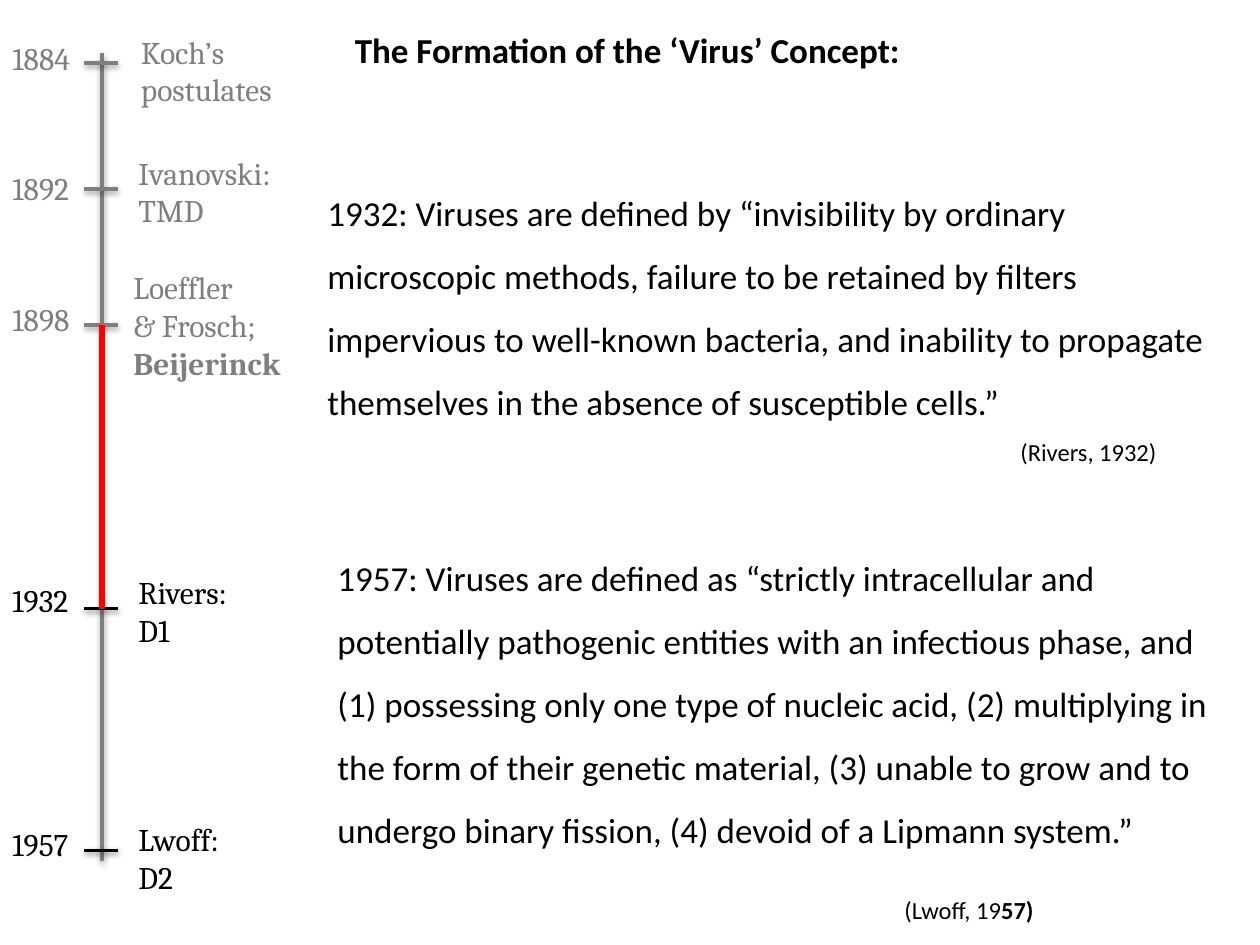
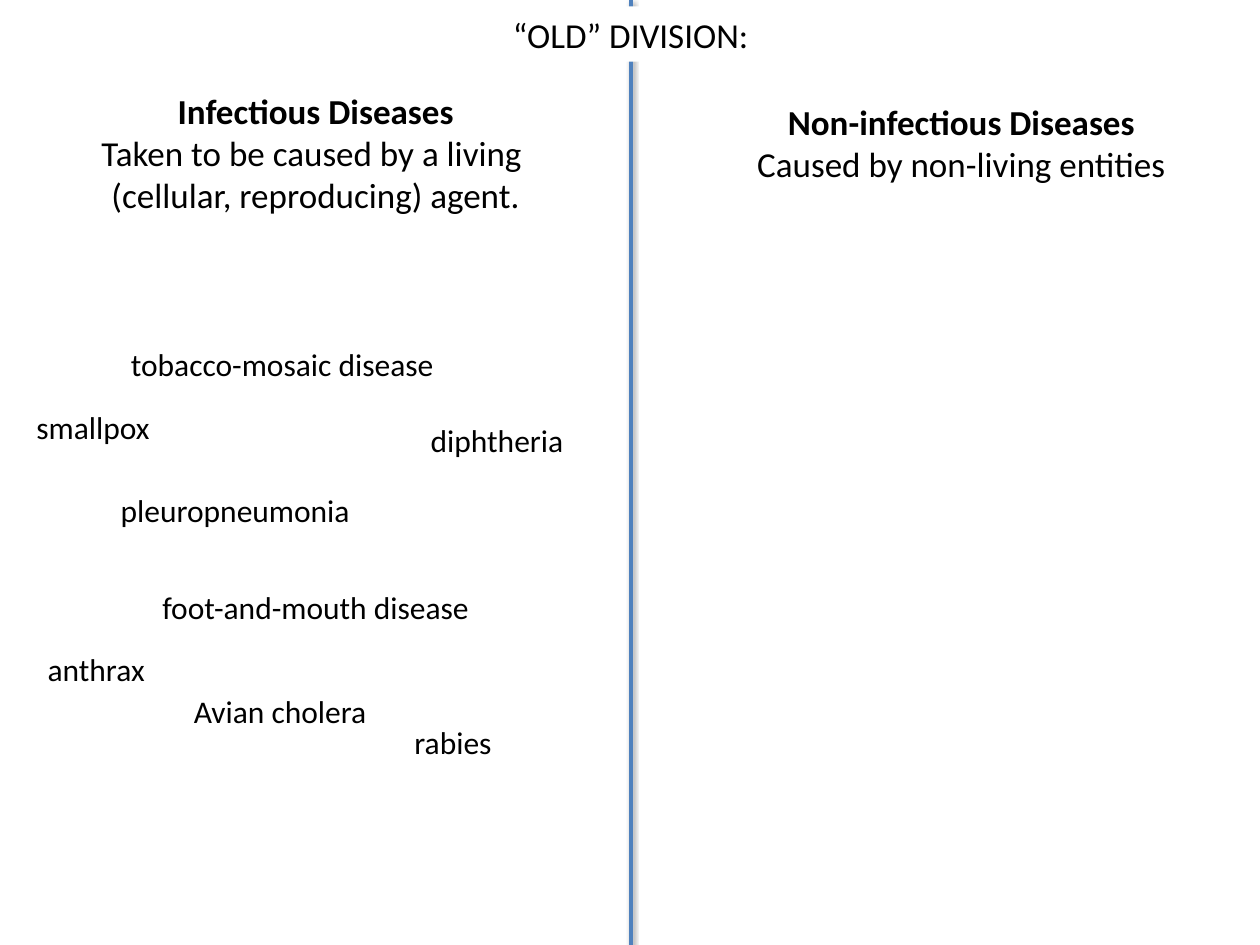
"""Build two slides on the virus concept and the old division of diseases."""
from lxml import etree
from pptx import Presentation
from pptx.dml.color import RGBColor
from pptx.enum import shapes, text
from pptx.oxml.ns import qn
from pptx.util import Inches, Pt

COLORS = {"ink": "000000", "past": "7F7F7F", "axis": "808080", "span": "FF0000",
          "divider": "4F81BD", "paper": "FFFFFF"}
BODY, LABEL = "Calibri", "Cambria"
LEFT, CENTER = text.PP_ALIGN.LEFT, text.PP_ALIGN.CENTER


def write(box, paragraphs, size, font=BODY, color="ink", align=LEFT, wrap=True):
    """Fill a shape with paragraphs, each a list of (words, style letters) runs."""
    frame = box.text_frame
    frame.word_wrap = wrap
    frame.auto_size = text.MSO_AUTO_SIZE.NONE
    for number, runs in enumerate(paragraphs):
        para = frame.add_paragraph() if number else frame.paragraphs[0]
        para.alignment = align
        for words, style in runs:
            for row, line in enumerate(words.split("\n")):
                if row:
                    para.add_line_break()
                span = para.add_run()
                span.text = line
                span.font.name = font
                span.font.size = Pt(size)
                span.font.bold = "b" in style
                span.font.italic = "i" in style
                span.font.color.rgb = RGBColor.from_string(COLORS[color])
    return frame.paragraphs


def draw_line(page, start, end, color, width=2):
    """Draw a straight line between two points in inches."""
    line = page.shapes.add_connector(shapes.MSO_CONNECTOR.STRAIGHT,
                                     *map(Inches, start + end))
    line.line.color.rgb = RGBColor.from_string(COLORS[color])
    line.line.width = Pt(width)
    return line


deck = Presentation()
deck.slide_width, deck.slide_height = Inches(10), Inches(7.5)

pages = []
for heading, style, align, place in (
    ("The Formation of the ‘Virus’ Concept:", "b", CENTER, (2.7, 0.17, 4.56, 0.44)),
    ("“OLD” DIVISION:", "", LEFT, (3.97, 0.05, 2.09, 0.44)),
):
    page = deck.slides.add_slide(deck.slide_layouts[5])
    title = page.shapes.title
    title.left, title.top, title.width, title.height = map(Inches, place)
    write(title, [[(heading, style)]], 20, align=align, wrap=False)
    pages.append(page)
concept, division = pages

quotes = (
    ((2.5, 1.3, 7.33, 2.45), 5.5, 0,
     [("1932: Viruses are defined by “invisibility by ordinary microscopic methods, "
       "failure to be retained by filters impervious to well-known bacteria, and "
       "inability to propagate themselves in the absence of susceptible cells.”", "")],
     [("(Rivers, 1932)", "")]),
    ((2.58, 4.2, 7.25, 3.2), 4.5, 17,
     [("1957: Viruses are defined as “strictly intracellular and potentially "
       "pathogenic entities with an infectious phase", ""), (", ", "i"),
      ("and (1) possessing only one type of nucleic acid, (2) multiplying in the form "
       "of their genetic material, (3) unable to grow and to undergo binary fission, "
       "(4) devoid of a Lipmann system.”", "")],
     [("(Lwoff, 19", ""), ("57)", "b")]),
)
for place, indent, gap, quote, citation in quotes:
    box = concept.shapes.add_textbox(*map(Inches, place))
    paragraphs = write(box, [quote, citation], 20)
    for para in paragraphs:
        para.line_spacing = 1.5
    source = paragraphs[1]
    source.space_before = Pt(gap)
    source._p.get_or_add_pPr().set("marL", str(Inches(indent)))
    for span in source.runs:
        span.font.size = Pt(14)

axis_x = 0.81
draw_line(concept, (axis_x, 0.42), (axis_x, 6.83), "axis")
milestones = (
    ("1884", 0.5, 0.26, (1.02, 0.21, 1.56, 0.71), "past", [[("Koch’s postulates", "")]]),
    ("1892", 1.5, 1.29, (1, 1.17, 1.61, 0.71), "past", [[("Ivanovski: TMD", "")]]),
    ("1898", 2.58, 2.33, (0.96, 2.08, 1.55, 1.01), "past",
     [[("Loeffler", "")], [("& Frosch;", "")], [("Beijerinck", "b")]]),
    ("1932", 4.83, 4.56, (1, 4.5, 0.99, 0.71), "ink", [[("Rivers:", "")], [("D1", "")]]),
    ("1957", 6.75, 6.5, (1, 6.46, 0.92, 0.71), "ink", [[("Lwoff:", "")], [("D2", "")]]),
)
for year, tick, year_top, place, color, label in milestones:
    draw_line(concept, (0.67, tick), (0.94, tick), color)
    for spot, words in (((0, year_top, 0.76, 0.4), [[(year, "")]]), (place, label)):
        box = concept.shapes.add_textbox(*map(Inches, spot))
        write(box, words, 18, LABEL, color)

highlight = draw_line(concept, (axis_x, 2.58), (axis_x, 4.83), "span", 3)
etree.SubElement(highlight._element.spPr, qn("a:effectLst"))

columns = (
    ((0, 0.66, 5.01, 1.45), "Infectious Diseases",
     "Taken to be caused by a living \n(cellular, reproducing) agent."),
    ((5.85, 0.75, 3.56, 0.77), "Non-infectious Diseases", "Caused by non-living entities"),
)
for place, kind, cause in columns:
    box = division.shapes.add_textbox(*map(Inches, place))
    write(box, [[(kind, "b")], [(cause, "")]], 20, align=CENTER)

diseases = (
    ("tobacco-mosaic disease", 0.94, 2.69, 2.81),
    ("smallpox", 0.19, 3.19, 1.21),
    ("diphtheria", 3.32, 3.29, 1.37),
    ("pleuropneumonia", 0.86, 3.85, 2.19),
    ("foot-and-mouth disease", 1.19, 4.62, 2.86),
    ("anthrax", 0.28, 5.11, 1.07),
    ("Avian cholera", 1.44, 5.44, 1.73),
    ("rabies", 3.19, 5.69, 0.88),
)
for disease, left, top, width in diseases:
    box = division.shapes.add_textbox(*map(Inches, (left, top, width, 0.4)))
    write(box, [[(disease, "")]], 18)

draw_line(division, (5.01, 0), (5.01, 7.5), "divider")
banner = division.shapes.title
banner.fill.solid()
banner.fill.fore_color.rgb = RGBColor.from_string(COLORS["paper"])
division.shapes._spTree.append(banner._element)

deck.save("out.pptx")
